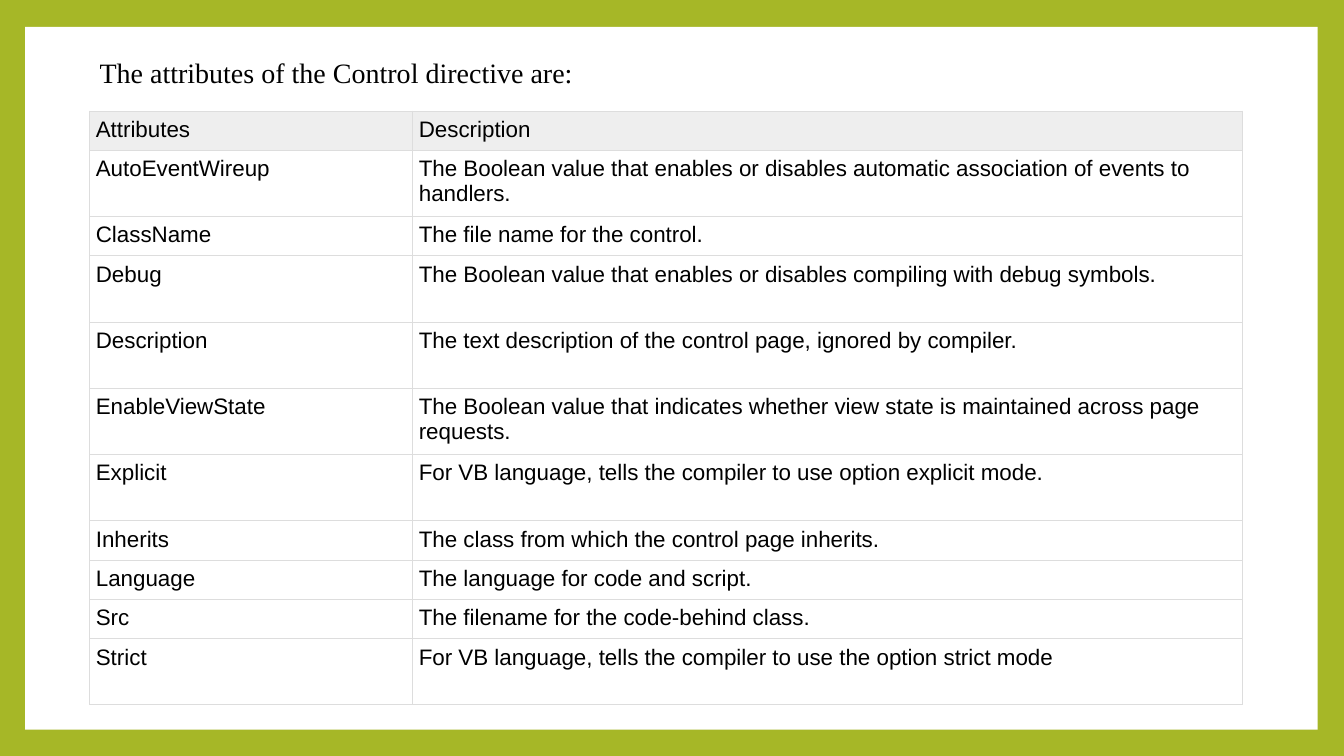
"""Build a slide with a table of the Control directive's attributes."""
from lxml.etree import SubElement
from pptx import Presentation
from pptx.dml.color import RGBColor as RGB
from pptx.enum.shapes import MSO_SHAPE as SHAPE
from pptx.oxml.ns import qn
from pptx.util import Pt

COLORS = {"frame": "A6B727", "page": "FFFFFF", "header": "EEEEEE", "border": "DDDDDD", "text": "000000"}
SHORT, TALL = 28.1, 47.3
ATTRIBUTES = [
    ("Attributes", "Description", SHORT),
    ("AutoEventWireup", "The Boolean value that enables or disables automatic association of events to handlers.", TALL),
    ("ClassName", "The file name for the control.", SHORT),
    ("Debug", "The Boolean value that enables or disables compiling with debug symbols.", TALL),
    ("Description", "The text description of the control page, ignored by compiler.", TALL),
    ("EnableViewState", "The Boolean value that indicates whether view state is maintained across page requests.", TALL),
    ("Explicit", "For VB language, tells the compiler to use option explicit mode.", TALL),
    ("Inherits", "The class from which the control page inherits.", SHORT),
    ("Language", "The language for code and script.", SHORT),
    ("Src", "The filename for the code-behind class.", SHORT),
    ("Strict", "For VB language, tells the compiler to use the option strict mode", TALL),
]
COLUMN_WIDTHS = [230.7, 592.8]


def style_text(frame, font_name, size):
    font = frame.paragraphs[0].runs[0].font
    font.name, font.size = font_name, Pt(size)
    font.color.rgb = RGB.from_string(COLORS["text"])


def add_borders(cell):
    properties = cell._tc.get_or_add_tcPr()
    for position, side in enumerate(["lnL", "lnR", "lnT", "lnB"]):
        line = SubElement(properties, qn(f"a:{side}"), w=str(Pt(0.75)))
        fill = SubElement(line, qn("a:solidFill"))
        SubElement(fill, qn("a:srgbClr"), val=COLORS["border"])
        properties.insert(position, line)


prs = Presentation()
prs.slide_width, prs.slide_height = Pt(960), Pt(540)
slide = prs.slides.add_slide(prs.slide_layouts[6])
slide.background.fill.solid()
slide.background.fill.fore_color.rgb = RGB.from_string(COLORS["frame"])

page = slide.shapes.add_shape(SHAPE.RECTANGLE, Pt(18), Pt(19.2), Pt(923.3), Pt(502))
page.shadow.inherit = False
page.fill.solid()
page.fill.fore_color.rgb = RGB.from_string(COLORS["page"])
page.line.fill.background()

table_height = sum(height for _, _, height in ATTRIBUTES)
table = slide.shapes.add_table(
    len(ATTRIBUTES), 2, Pt(64), Pt(79.3), Pt(sum(COLUMN_WIDTHS)), Pt(table_height)
).table
table.horz_banding = False
table.first_row = False
for column, width in zip(table.columns, COLUMN_WIDTHS):
    column.width = Pt(width)

for row_index, (attribute, description, height) in enumerate(ATTRIBUTES):
    table.rows[row_index].height = Pt(height)
    for column_index, text in enumerate([attribute, description]):
        cell = table.cell(row_index, column_index)
        cell.text_frame.text = text
        style_text(cell.text_frame, "Arial", 16)
        cell.margin_left = cell.margin_right = Pt(4.5)
        cell.margin_top = cell.margin_bottom = Pt(4.5)
        if row_index == 0:
            cell.fill.solid()
            cell.fill.fore_color.rgb = RGB.from_string(COLORS["header"])
        else:
            cell.fill.background()
        add_borders(cell)

heading = slide.shapes.add_textbox(Pt(64), Pt(36), Pt(480), Pt(31.5)).text_frame
heading.word_wrap = True
heading.text = "The attributes of the Control directive are:"
style_text(heading, "Times New Roman", 20)

prs.save("out.pptx")
